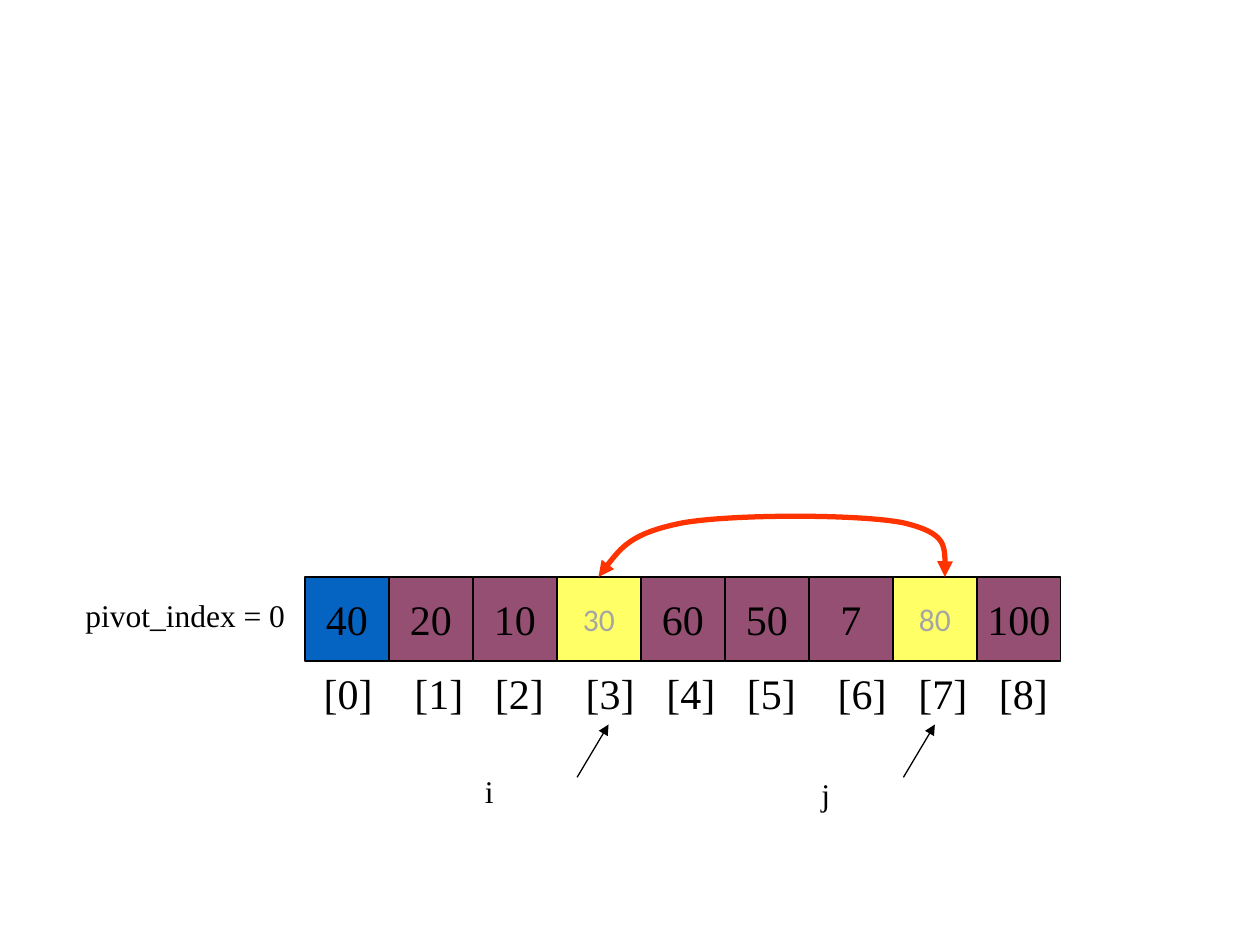
from itertools import accumulate

from pptx import Presentation
from pptx import util as u
from pptx.dml.color import RGBColor
from pptx.enum import shapes, text
from pptx.oxml.ns import qn
from pptx.oxml.xmlchemy import OxmlElement

SERIF = "Times New Roman"


def color(hex_value):
    return RGBColor.from_string(hex_value)


def style_arrow(arrow, hex_value, width, ends):
    """Colour an outline, put triangles on the named ends and drop the shadow."""
    arrow.line.color.rgb = color(hex_value)
    arrow.line.width = u.Pt(width)
    for end in ends:
        tip = OxmlElement(f"a:{end}")
        tip.set("type", "triangle")
        arrow.line._get_or_add_ln().append(tip)
    arrow._element.spPr.append(OxmlElement("a:effectLst"))


prs = Presentation()
prs.slide_width, prs.slide_height = u.Inches(10), u.Inches(7.5)
slide = prs.slides.add_slide(prs.slide_layouts[6])

# Array cells: the pivot in blue, the two values to swap in yellow
values = [40, 20, 10, 30, 60, 50, 7, 80, 100]
pivot, swapped = 0, (3, 7)
cell_size = 2 / 3
for index, value in enumerate(values):
    cell = slide.shapes.add_shape(
        shapes.MSO_SHAPE.RECTANGLE,
        u.Inches(2.42 + index * cell_size), u.Inches(4.58),
        u.Inches(cell_size), u.Inches(cell_size))
    cell.shadow.inherit = False
    cell.fill.solid()
    cell.fill.fore_color.rgb = color(
        "0563C1" if index == pivot else "FFFF66" if index in swapped else "954F72")
    cell.line.color.rgb = color("000000")
    cell.line.width = u.Pt(0.75)
    frame = cell.text_frame
    frame.word_wrap = False
    frame.vertical_anchor = text.MSO_ANCHOR.MIDDLE
    frame.text = str(value)
    frame.paragraphs[0].alignment = text.PP_ALIGN.CENTER
    font = frame.paragraphs[0].runs[0].font
    font.name, font.size, font.color.rgb = (
        ("Calibri", u.Pt(18), color("A5A5A5")) if index in swapped
        else (SERIF, u.Pt(24), color("000000")))

# Labels: the index row is spaced with tab stops
index_row = "\t".join(f"[{index}]" for index in range(len(values)))
labels = [
    ("pivot_index = 0", 0.58, 4.68, 1.79, 0.4, 18, False),
    (index_row, 2.47, 5.25, 5.95, 0.5, 24, True),
    ("i", 3.75, 6.08, 3.17, 0.4, 18, True),
    ("j", 6.42, 6.1, 2.33, 0.4, 18, True),
]
for wording, left, top, width, height, size, wrap in labels:
    label = slide.shapes.add_textbox(
        u.Inches(left), u.Inches(top), u.Inches(width), u.Inches(height))
    frame = label.text_frame
    frame.word_wrap = wrap
    frame.auto_size = text.MSO_AUTO_SIZE.SHAPE_TO_FIT_TEXT
    frame.text = wording
    paragraph = frame.paragraphs[0]
    if wording == index_row:
        frame.margin_right = 0
        tab_list = OxmlElement("a:tabLst")
        for offset in accumulate([0.72, 0.64, 0.72, 0.64, 0.64, 0.72, 0.64, 0.64]):
            tab = OxmlElement("a:tab")
            tab.set("pos", str(u.Inches(offset)))
            tab.set("algn", "l")
            tab_list.append(tab)
        paragraph._p.get_or_add_pPr().append(tab_list)
    for run in paragraph.runs:
        run.font.name, run.font.size = SERIF, u.Pt(size)
        run.font.color.rgb = color("000000")

# Pointers from j and i up to their indexes
for left in (7.17, 4.58):
    pointer = slide.shapes.add_connector(
        shapes.MSO_CONNECTOR.STRAIGHT,
        u.Inches(left), u.Inches(6.17), u.Inches(left + 0.25), u.Inches(5.75))
    style_arrow(pointer, "000000", 0.75, ["tailEnd"])

# Swap arrow: every three points after the start make one Bezier curve
start, *curve_points = [
    (u.Inches(x), u.Inches(y)) for x, y in [
        (4.75, 4.58),
        (4.88, 4.4), (5.01, 4.23), (5.42, 4.15),
        (5.82, 4.08), (6.82, 4.08), (7.17, 4.15),
        (7.51, 4.23), (7.51, 4.4), (7.5, 4.58)]]
builder = slide.shapes.build_freeform(*start)
builder.add_line_segments(curve_points, close=False)
swap_arrow = builder.convert_to_shape()
segments = list(swap_arrow._element.iter(qn("a:lnTo")))
for first in range(0, len(segments), 3):
    curve = OxmlElement("a:cubicBezTo")
    segments[first].addprevious(curve)
    for segment in segments[first:first + 3]:
        curve.append(segment[0])
        segment.getparent().remove(segment)
swap_arrow.fill.background()
style_arrow(swap_arrow, "FF3300", 3, ["headEnd", "tailEnd"])

prs.save("out.pptx")
